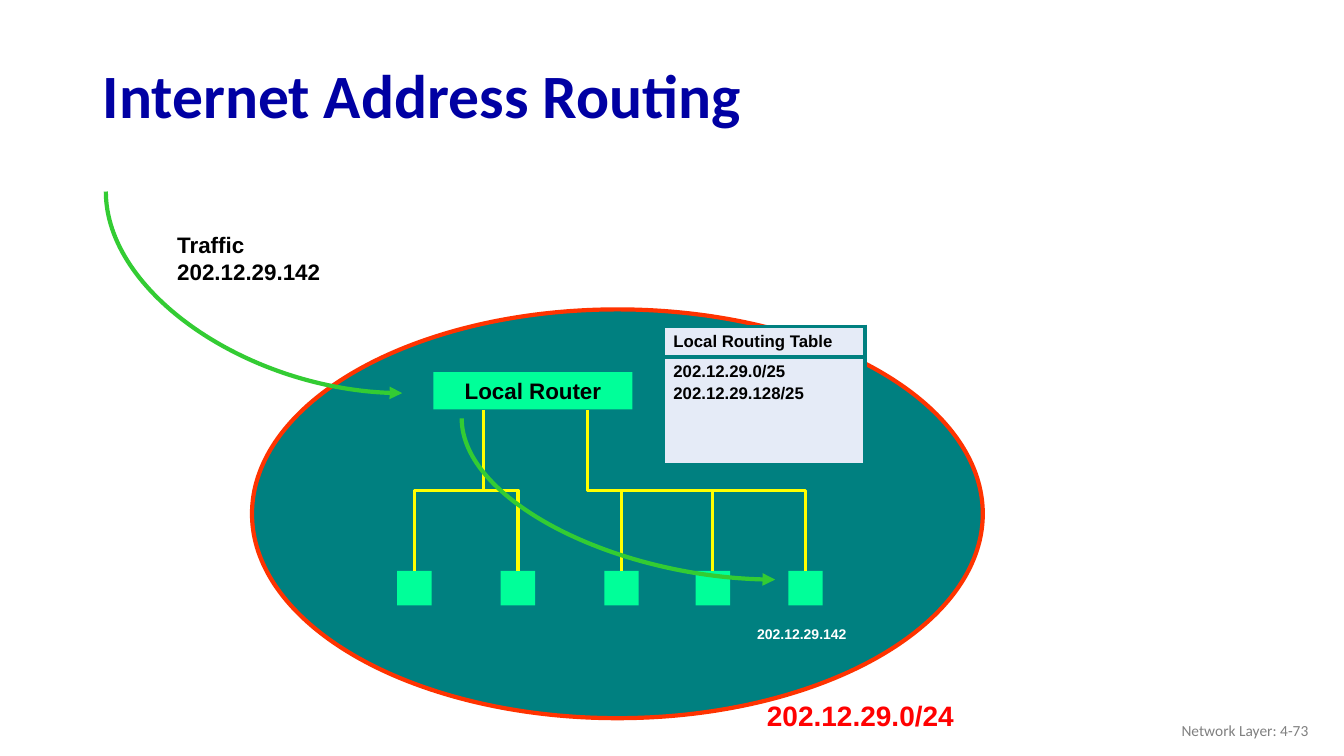
from lxml.etree import SubElement
from pptx import Presentation
from pptx.dml.color import RGBColor
from pptx.enum.shapes import MSO_CONNECTOR, MSO_SHAPE
from pptx.enum.text import MSO_ANCHOR, MSO_AUTO_SIZE, PP_ALIGN
from pptx.oxml.ns import qn
from pptx.util import Pt

NAVY, GREY, BLACK, WHITE = "0000A3", "808080", "000000", "FFFFFF"
TEAL, MINT, PALE = "008080", "00FF99", "E5EBF7"
ORANGE, RED, GREEN, YELLOW = "FF3300", "FF0101", "33CC33", "FFFF00"


def color(code):
    return RGBColor.from_string(code)


class Board:
    def __init__(self, slide, font):
        self.slide = slide
        self.shapes = slide.shapes
        self.font = font

    def label(self, frame, text, size, code, bold=True, font=None,
              align=PP_ALIGN.LEFT, anchor=MSO_ANCHOR.TOP, gap=0):
        frame.text = text
        frame.vertical_anchor = anchor
        for i, para in enumerate(frame.paragraphs):
            para.alignment = align
            if i:
                para.space_before = Pt(gap)
            for run in para.runs:
                run.font.size = Pt(size)
                run.font.bold = bold
                run.font.name = font or self.font
                run.font.color.rgb = color(code)

    def title(self, box, text, size, code, font):
        shape = self.shapes.title
        shape.left, shape.top, shape.width, shape.height = map(Pt, box)
        frame = shape.text_frame
        frame.auto_size = MSO_AUTO_SIZE.NONE
        self.label(frame, text, size, code, font=font, anchor=MSO_ANCHOR.MIDDLE)
        frame.paragraphs[0].line_spacing = 0.9

    def text(self, box, text, size, code, wrap=True, **style):
        frame = self.shapes.add_textbox(*map(Pt, box)).text_frame
        frame.word_wrap = wrap
        self.label(frame, text, size, code, **style)

    def shape(self, kind, box, fill, edge=None, width=3):
        shape = self.shapes.add_shape(kind, *map(Pt, box))
        shape.shadow.inherit = False
        shape.fill.solid()
        shape.fill.fore_color.rgb = color(fill)
        if edge:
            shape.line.color.rgb = color(edge)
            shape.line.width = Pt(width)
        else:
            shape.line.fill.background()
        return shape

    def link(self, kind, ends, turn, code, width):
        """Add a connector turned clockwise by whole degrees."""
        link = self.shapes.add_connector(kind, *map(Pt, ends))
        link.line.color.rgb = color(code)
        link.line.width = Pt(width)
        props = link._element.spPr
        SubElement(props, qn("a:effectLst"))
        props.find(qn("a:xfrm")).set("rot", str(turn * 60000))
        return link

    def arc(self, x1, y1, x2, y2, code):
        """Add an arrow that falls from x1, y1 and runs level into x2, y2."""
        link = self.link(MSO_CONNECTOR.CURVE, (x1, y1, x2, y2), 180, code, 3)
        props = link._element.spPr
        props.find(qn("a:prstGeom")).set("prst", "curvedConnector2")
        SubElement(props.find(qn("a:ln")), qn("a:headEnd"), type="triangle")

    def wire(self, x1, y1, x2, y2, code):
        """Add an elbow that goes down, across and down again."""
        mid_x, mid_y = (x1 + x2) / 2, (y1 + y2) / 2
        long, wide = (y2 - y1) / 2, abs(x2 - x1) / 2
        turn = 90
        if x2 > x1:
            long, turn = -long, 270
        ends = mid_x - long, mid_y - wide, mid_x + long, mid_y + wide
        self.link(MSO_CONNECTOR.ELBOW, ends, turn, code, 2.25)

    def table(self, box, rows, fill, edge):
        """Add a one-column table; rows holds height, text and anchor."""
        table = self.shapes.add_table(len(rows), 1, *map(Pt, box)).table
        table.first_row = table.horz_banding = False
        for i, (high, text, anchor) in enumerate(rows):
            table.rows[i].height = Pt(high)
            cell = table.cell(i, 0)
            self.label(cell.text_frame, text, 12, BLACK, gap=2.4)
            cell.vertical_anchor = anchor
            props = cell._tc.get_or_add_tcPr()
            for side in "LRTB":
                line = SubElement(props, qn("a:ln" + side), w=str(Pt(3)))
                paint = SubElement(line, qn("a:solidFill"))
                SubElement(paint, qn("a:srgbClr"), val=edge)
            cell.fill.solid()
            cell.fill.fore_color.rgb = color(fill)


def main():
    deck = Presentation()
    deck.slide_width, deck.slide_height = Pt(960), Pt(540)
    board = Board(deck.slides.add_slide(deck.slide_layouts[5]), "Arial")

    board.title((66.2, 35.3, 828, 70.6), "Internet Address Routing", 44, NAVY, "Calibri")
    board.text((725.8, 507.6, 216, 28.8), "Network Layer: 4-73", 11, GREY, bold=False,
               font="Calibri", align=PP_ALIGN.RIGHT, anchor=MSO_ANCHOR.MIDDLE)

    board.shape(MSO_SHAPE.OVAL, (180, 221, 522, 292), TEAL, ORANGE)
    board.arc(75.6, 136.8, 287.3, 280.8, GREEN)
    board.text((119.5, 161.3, 180.7, 46), "Traffic\n202.12.29.142", 16, BLACK)
    board.table((473.8, 233.3, 144, 98.6), [
        (21.6, "Local Routing Table", MSO_ANCHOR.MIDDLE),
        (77, "202.12.29.0/25\n202.12.29.128/25", MSO_ANCHOR.TOP),
    ], PALE, TEAL)

    router = board.shape(MSO_SHAPE.RECTANGLE, (309.6, 265.9, 142.2, 26.6), MINT)
    board.label(router.text_frame, "Local Router", 16, BLACK,
                align=PP_ALIGN.CENTER, anchor=MSO_ANCHOR.MIDDLE)

    side, top = 24.6, 407.8
    ports = {345.6: (296, 370), 419.8: (444, 509.2, 575.4)}
    for hosts in ports.values():
        for host in hosts:
            board.shape(MSO_SHAPE.RECTANGLE, (host - side / 2, top, side, side), MINT)
    for port, hosts in ports.items():
        for host in hosts:
            board.wire(port, 293, host, top, YELLOW)
    board.text((533.8, 439.6, 78, 26.6), "202.12.29.142", 10, WHITE,
               wrap=False, anchor=MSO_ANCHOR.MIDDLE)

    board.arc(329.8, 298.8, 553.7, 414, GREEN)
    board.text((540.7, 495.4, 149, 31.7), "202.12.29.0/24", 20, RED, wrap=False)
    deck.save("out.pptx")


if __name__ == "__main__":
    main()
